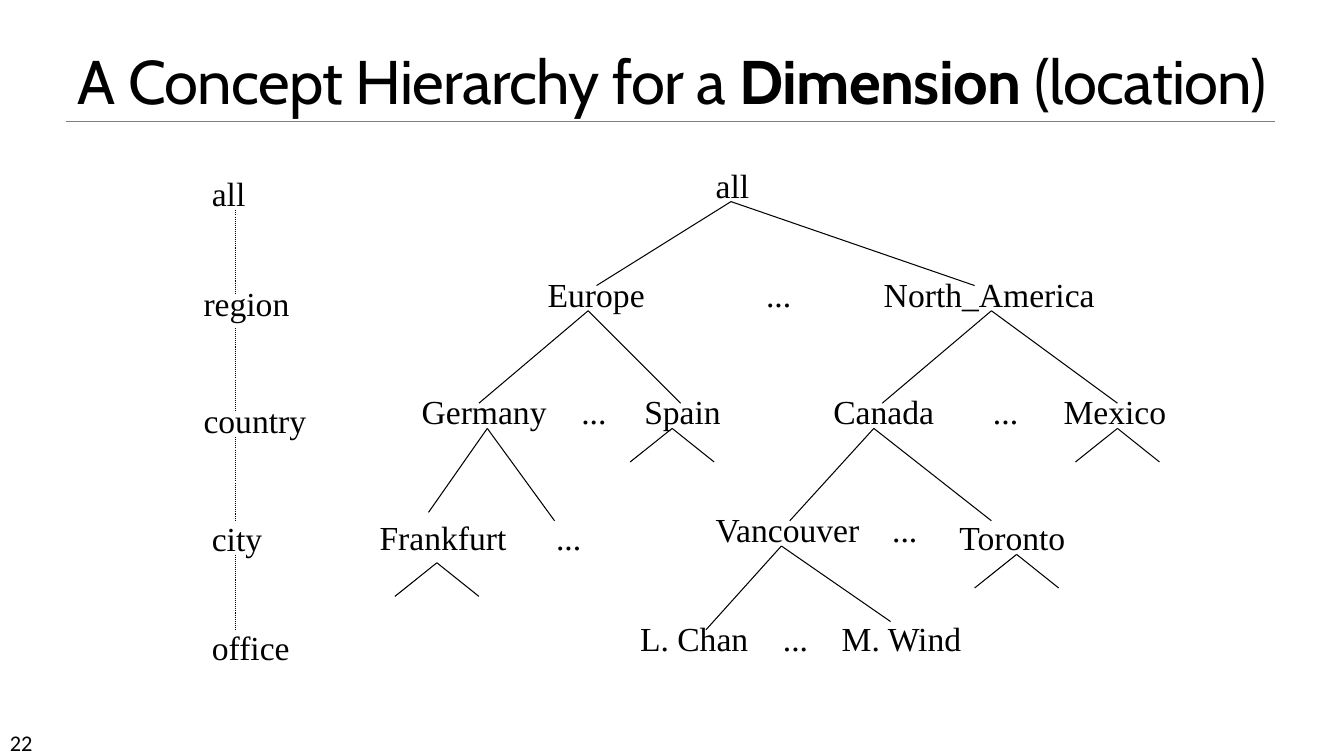
from lxml import etree
from pptx import Presentation
from pptx.dml.color import RGBColor
from pptx.enum.dml import MSO_LINE
from pptx.enum.shapes import MSO_CONNECTOR
from pptx.enum.text import MSO_ANCHOR, MSO_AUTO_SIZE, PP_ALIGN
from pptx.oxml.ns import qn
from pptx.util import Inches, Pt

STRAIGHT = MSO_CONNECTOR.STRAIGHT
DOTTED = MSO_LINE.ROUND_DOT
BOTTOM = MSO_ANCHOR.BOTTOM
CENTER = PP_ALIGN.CENTER
NO_FIT = MSO_AUTO_SIZE.NONE
GROW = MSO_AUTO_SIZE.SHAPE_TO_FIT_TEXT
BLACK = "000000"
GRAY = "808080"
UNIT = 1 / 12

LEVELS = [
    ("all", 1, 0, 0.53),
    ("region", 0, 13, 1.05),
    ("country", 0, 27, 1.22),
    ("city", 1, 41, 0.7),
    ("office", 1, 54, 0.98),
]
LEVEL_LINKS = [(5, 15), (19, 29), (32, 42), (46, 55)]
LEVEL_AXIS = 5

NODES = [
    ("all", 42, 1, 0.53),
    ("Europe", 22, 14, 1.16),
    ("North_America", 62, 14, 2.29),
    ("Germany", 7, 28, 1.44),
    ("Spain", 33.5, 28, 0.96),
    ("Canada", 56, 28, 1.2),
    ("Mexico", 83.4, 28, 1.22),
    ("Frankfurt", 2, 43, 1.46),
    ("Vancouver", 42, 42, 1.66),
    ("Toronto", 71, 43, 1.27),
    ("L. Chan", 33, 55, 1.3),
    ("M. Wind", 57, 55, 1.42),
]
GAPS = [(48, 14), (26, 28), (75, 28), (23, 43), (63, 42), (50, 55)]
BRANCHES = [
    ((45, 6), (29, 16), (74, 16)),
    ((28, 19), (15, 30), (39, 30)),
    ((76, 19), (63, 30), (91, 30)),
    ((16, 33), (9, 43), (24, 44)),
    ((62, 33), (52, 44), (76, 44)),
    ((51, 47), (42, 57), (64, 56)),
]
STUBS = [(38, 33), (91, 33), (10, 49), (79, 48)]


def color(value):
    return RGBColor.from_string(value)


def add_run(p, text, font, size, bold=False):
    r = p.add_run()
    r.text = text
    r.font.name = font
    r.font.size = Pt(size)
    r.font.bold = bold
    r.font.color.rgb = color(BLACK)
    return r


def add_line(s, start, end, line_color=BLACK, width=0.75, dash=None):
    points = [Inches(v) for v in (*start, *end)]
    line = s.shapes.add_connector(STRAIGHT, *points)
    line.line.color.rgb = color(line_color)
    line.line.width = Pt(width)
    if dash is not None:
        line.line.dash_style = dash
    etree.SubElement(line._element.spPr, qn("a:effectLst"))


def add_label(s, text, left, top, width):
    sp = s.shapes.add_textbox(
        Inches(left), Inches(top), Inches(width), Inches(0.5))
    tf = sp.text_frame
    tf.word_wrap = False
    tf.auto_size = GROW
    add_run(tf.paragraphs[0], text, "Times New Roman", 24)


def add_title(s, left, top, width, height):
    sp = s.shapes.title
    sp.left, sp.top = Inches(left), Inches(top)
    sp.width, sp.height = Inches(width), Inches(height)
    tf = sp.text_frame
    tf.auto_size = NO_FIT
    tf.vertical_anchor = BOTTOM
    p = tf.paragraphs[0]
    p.alignment = CENTER
    p.line_spacing = 0.85
    for text, bold in [("A Concept Hierarchy for a ", False),
                       ("Dimension ", True), ("(location)", False)]:
        r = add_run(p, text, "Cabin", 44, bold)
        r.font._element.set("spc", "-50")
    rule_y = top + height - 0.01
    add_line(s, (left + 0.65, rule_y), (left + width - 0.68, rule_y), GRAY, 0.5)


def add_page_number(s, left, top, width, height):
    sp = s.shapes.add_textbox(
        Inches(left), Inches(top), Inches(width), Inches(height))
    tf = sp.text_frame
    tf.word_wrap = True
    add_run(tf.paragraphs[0], "22", "Calibri", 16)


def grid_point(left, top, x, y):
    return left + x * UNIT, top + y * UNIT


def add_levels(s, left, top):
    for start, end in LEVEL_LINKS:
        add_line(s, grid_point(left, top, LEVEL_AXIS, start),
                 grid_point(left, top, LEVEL_AXIS, end), dash=DOTTED)
    for text, x, y, width in LEVELS:
        add_label(s, text, *grid_point(left, top, x, y), width)


def add_tree(s, left, top):
    dots = [("...", x, y, 0.45) for x, y in GAPS]
    for text, x, y, width in NODES + dots:
        add_label(s, text, *grid_point(left, top, x, y), width)
    stubs = [((x, y), (x - 5, y + 4), (x + 5, y + 4)) for x, y in STUBS]
    for apex, *ends in BRANCHES + stubs:
        for end in ends:
            add_line(s, grid_point(left, top, *apex),
                     grid_point(left, top, *end))


def main():
    prs = Presentation()
    prs.slide_width = Inches(13.33)
    prs.slide_height = Inches(7.5)
    s = prs.slides.add_slide(prs.slide_layouts[5])
    add_title(s, 0, -0.08, 13.33, 1.29)
    add_levels(s, 1.92, 1.67)
    add_tree(s, 3.5, 1.5)
    add_page_number(s, 0, 7.18, 1.17, 0.3)
    prs.save("out.pptx")


if __name__ == "__main__":
    main()
